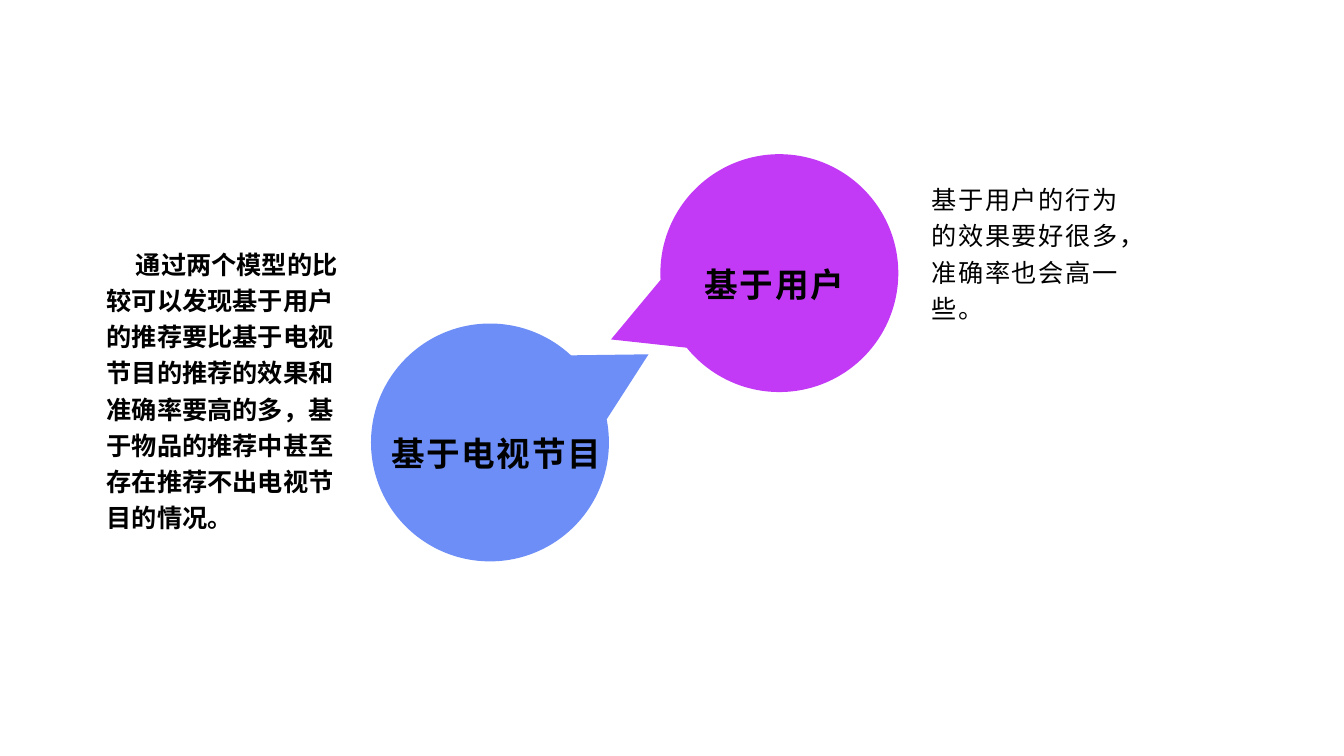
from pptx import Presentation
from pptx import util as u
from pptx.dml import color
from pptx.enum import lang, shapes, text

DIAMETER = 2.36
TAIL_W, TAIL_H = 0.73, 0.68


def rgb(value):
    """Turn a hex string into a colour."""
    return color.RGBColor.from_string(value)


def add_solid(s, kind, box, fill, rotation=0):
    """Add a plain filled shape in the given box."""
    sp = s.shapes.add_shape(kind, *map(u.Inches, box))
    sp.shadow.inherit = False
    sp.fill.solid()
    sp.fill.fore_color.rgb = rgb(fill)
    sp.line.fill.background()
    sp.rotation = rotation


def add_text(s, box, words, size, bold=True, spacing=0, indent=0):
    """Add a wrapped paragraph in the given box."""
    tf = s.shapes.add_textbox(*map(u.Inches, box)).text_frame
    for name, value in {"word_wrap": True, "vertical_anchor": text.MSO_ANCHOR.TOP}.items():
        setattr(tf, name, value)
    p = tf.paragraphs[0]
    p.line_spacing = 1.2
    if indent:
        p._p.get_or_add_pPr().set("indent", str(u.Inches(indent)))
    r = p.add_run()
    r.text = words
    formats = {"name": "Arial", "size": u.Pt(size), "bold": bold,
               "language_id": lang.MSO_LANGUAGE_ID.SIMPLIFIED_CHINESE}
    for name, value in formats.items():
        setattr(r.font, name, value)
    r.font.color.rgb = rgb("000000")
    if spacing:
        r._r.get_or_add_rPr().set("spc", str(round(spacing * 100)))


def add_bubble(s, left, top, fill, tail, rotation, label, label_dx, label_w):
    """Draw a round bubble with its tail and label, all relative to its corner."""
    dx, dy = tail
    add_solid(s, shapes.MSO_SHAPE.OVAL, (left, top, DIAMETER, DIAMETER), fill)
    add_solid(s, shapes.MSO_SHAPE.ISOSCELES_TRIANGLE,
              (left + dx, top + dy, TAIL_W, TAIL_H), fill, rotation)
    add_text(s, (left + label_dx, top + 0.96, label_w, 0.65), label, 24, spacing=1.2)


def main():
    """Build the comparison slide and save it."""
    prs = Presentation()
    prs.slide_width, prs.slide_height = u.Inches(13.33), u.Inches(7.5)
    s = prs.slides.add_slide(prs.slide_layouts[6])
    add_bubble(s, 3.68, 3.21, "6D8EF7", (2.09, 0.13), 61, "基于电视节目", 0.1, 3.05)
    add_bubble(s, 6.55, 1.53, "C33AF6", (-0.54, 1.37), 248, "基于用户", 0.34, 1.69)
    add_text(s, (0.96, 2.36, 2.57, 3.01),
             "通过两个模型的比较可以发现基于用户的推荐要比基于电视节目的推荐的效果和"
             "准确率要高的多，基于物品的推荐中甚至存在推荐不出电视节目的情况。",
             18, indent=0.29)
    add_text(s, (9.14, 1.72, 2.2, 2.17),
             "基于用户的行为的效果要好很多，准确率也会高一些。",
             18, bold=False, spacing=1.2)
    prs.save("out.pptx")


if __name__ == "__main__":
    main()
